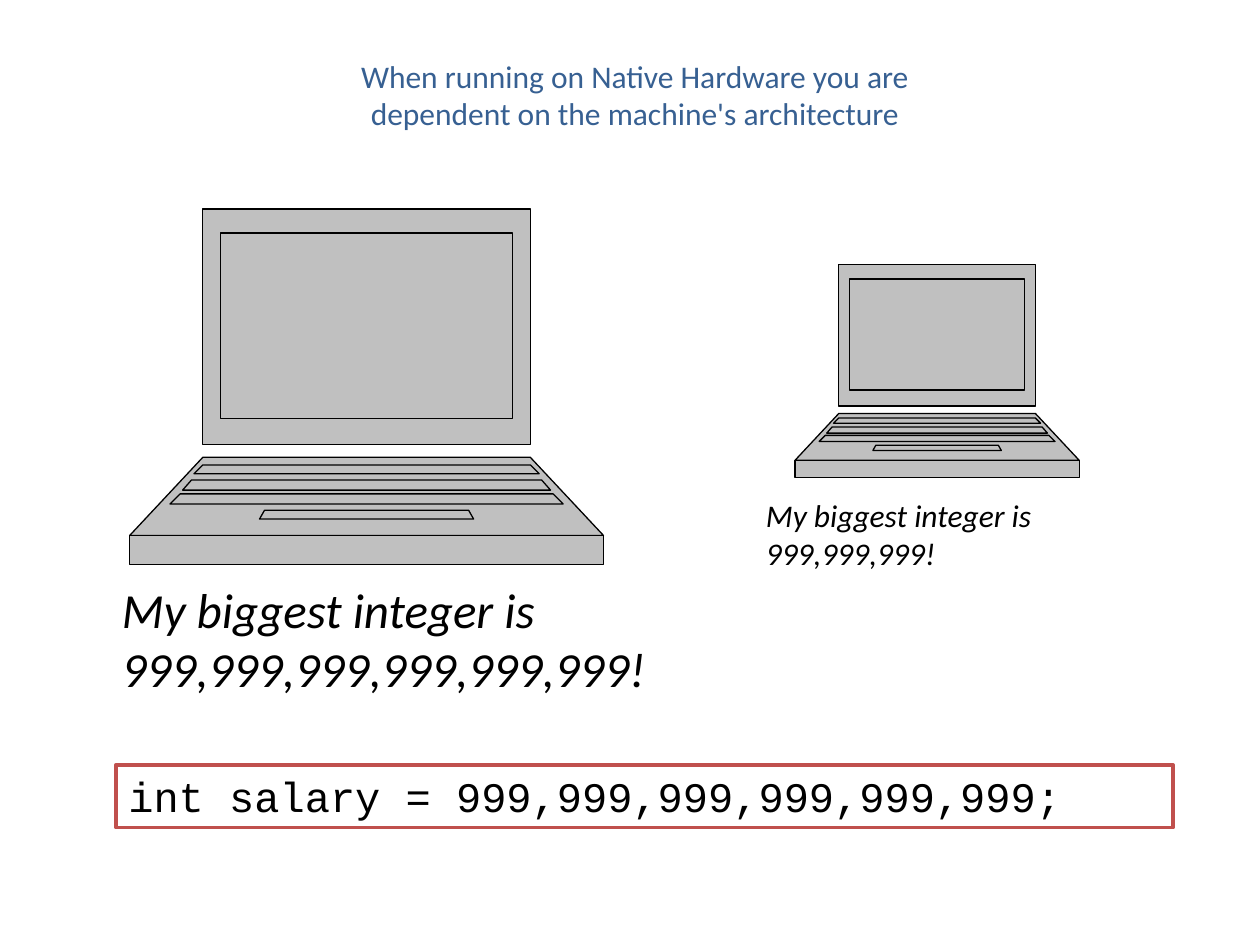
"""Build a slide comparing the integer limits of two laptops."""
import copy

import pptx
import pptx.dml.color
import pptx.enum.shapes
import pptx.enum.text
import pptx.util

Inches = pptx.util.Inches
Pt = pptx.util.Pt
RGBColor = pptx.dml.color.RGBColor
PP_ALIGN = pptx.enum.text.PP_ALIGN

BLACK = RGBColor(0x00, 0x00, 0x00)
WHITE = RGBColor(0xFF, 0xFF, 0xFF)
GRAY = RGBColor(0xC0, 0xC0, 0xC0)
BLUE = RGBColor(0x37, 0x60, 0x92)
RED = RGBColor(0xC0, 0x50, 0x4D)


def write_text(shape, text, size, font="Calibri", color=BLACK, italic=False, align=PP_ALIGN.LEFT):
    frame = shape.text_frame
    frame.word_wrap = True
    frame.auto_size = pptx.enum.text.MSO_AUTO_SIZE.SHAPE_TO_FIT_TEXT
    frame.vertical_anchor = pptx.enum.text.MSO_ANCHOR.TOP
    frame.text = text
    for paragraph in frame.paragraphs:
        paragraph.alignment = align
        for run in paragraph.runs:
            run.font.name = font
            run.font.size = Pt(size)
            run.font.italic = italic
            run.font.color.rgb = color


def style_shape(shape, fill, line, width):
    shape.shadow.inherit = False
    shape.fill.solid()
    shape.fill.fore_color.rgb = fill
    shape.line.color.rgb = line
    shape.line.width = Pt(width)


presentation = pptx.Presentation()
presentation.slide_width = Inches(10)
presentation.slide_height = Inches(7.5)
slide = presentation.slides.add_slide(presentation.slide_layouts[6])

title = slide.shapes.add_textbox(Inches(0.77), Inches(0.4), Inches(8.54), Inches(0.71))
write_text(
    title,
    "When running on Native Hardware you are\ndependent on the machine's architecture",
    18, color=BLUE, align=PP_ALIGN.CENTER,
)

# Each part: top, bottom, then half widths of its top and bottom edges
LAPTOP_CENTER = 1.88
LAPTOP_PARTS = [
    (0, 1.87, 1.3, 1.3),
    (1.97, 2.59, 1.3, 1.88),
    (2.59, 2.82, 1.88, 1.88),
    (0.19, 1.66, 1.16, 1.16),
    (2.03, 2.1, 1.3, 1.37),
    (2.39, 2.46, 0.81, 0.85),
    (2.15, 2.23, 1.39, 1.46),
    (2.26, 2.34, 1.48, 1.56),
]

for left, top, scale in [(1.03, 1.66, 1), (6.31, 2.1, 0.6)]:
    builder = None
    for upper, lower, half_top, half_bottom in LAPTOP_PARTS:
        corners = [
            (Inches(left + scale * (LAPTOP_CENTER + x)), Inches(top + scale * y))
            for x, y in [
                (-half_top, upper), (half_top, upper),
                (half_bottom, lower), (-half_bottom, lower),
            ]
        ]
        if builder is None:
            builder = slide.shapes.build_freeform(*corners[0])
        else:
            builder.move_to(*corners[0])
        builder.add_line_segments(corners[1:], close=True)
    laptop = builder.convert_to_shape()
    style_shape(laptop, GRAY, BLACK, 0.75)

    outline = laptop.element.xpath(".//a:path")[0]
    steps = list(outline)
    steps_per_part = len(steps) // len(LAPTOP_PARTS)
    for start in range(0, len(steps), steps_per_part):
        part = copy.deepcopy(outline)
        part[:] = steps[start:start + steps_per_part]
        outline.getparent().append(part)
    outline.getparent().remove(outline)

for text, left, top, width, height, size in [
    ("My biggest integer is 999,999,999,999,999,999!", 0.87, 4.55, 4.43, 1.04, 28),
    ("My biggest integer is 999,999,999!", 5.98, 3.89, 3.11, 0.71, 18),
]:
    caption = slide.shapes.add_textbox(Inches(left), Inches(top), Inches(width), Inches(height))
    write_text(caption, text, size, italic=True)

code_box = slide.shapes.add_shape(
    pptx.enum.shapes.MSO_SHAPE.RECTANGLE, Inches(0.92), Inches(6.07), Inches(8.39), Inches(0.5)
)
style_shape(code_box, WHITE, RED, 2)
write_text(code_box, "int salary = 999,999,999,999,999,999;", 24, font="Courier New")

presentation.save("out.pptx")
